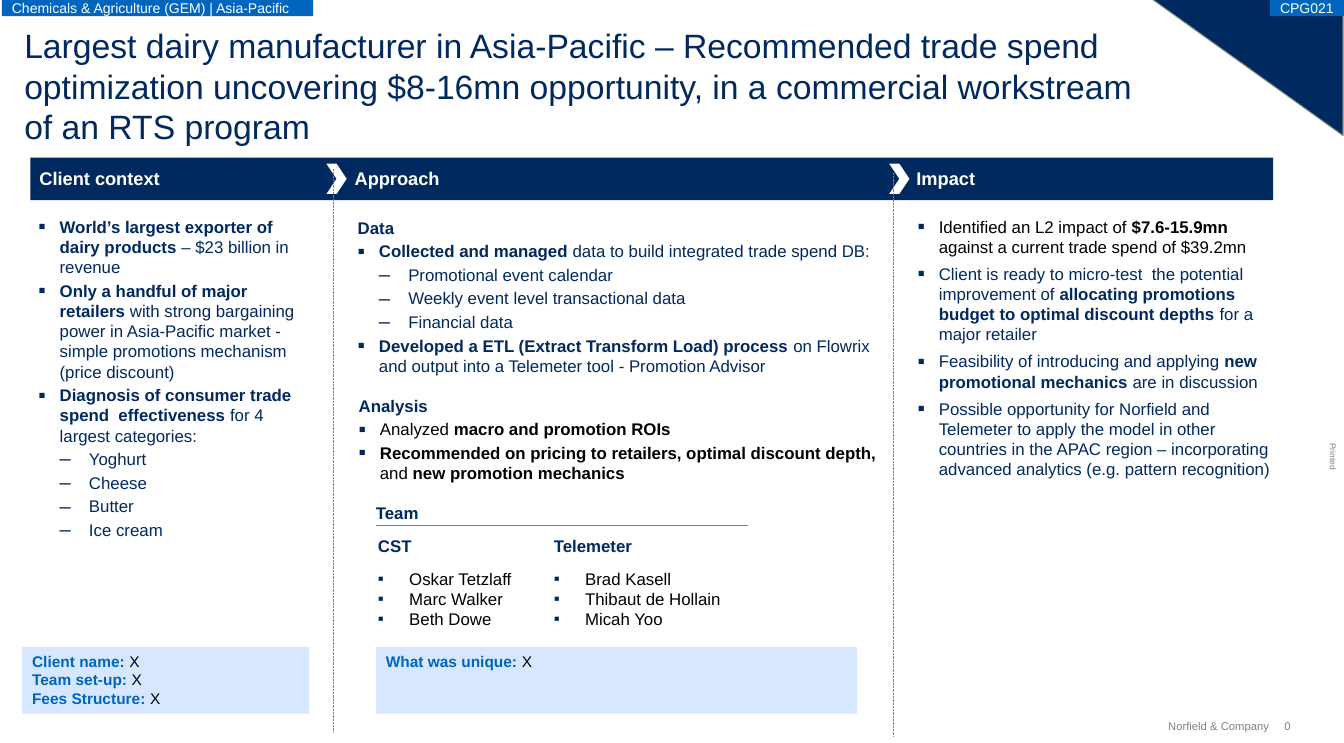
from lxml import etree
from pptx import Presentation
from pptx.dml.color import RGBColor
from pptx.enum import dml, shapes as shp, text as txt
from pptx.oxml.ns import qn
from pptx.util import Pt

# Content: *...* marks bold; each line is (level, text, colour)
TITLE = ("Largest dairy manufacturer in Asia-Pacific – Recommended trade spend "
         "optimization uncovering $8-16mn opportunity, in a commercial workstream "
         "of an RTS program")
CONTEXT = [
    ("item", "*World’s largest exporter of dairy products *– $23 billion in revenue", "navy"),
    ("item", "*Only a handful of major retailers *with strong bargaining power in "
             "Asia-Pacific market - simple promotions mechanism (price discount)", "navy"),
    ("item", "*Diagnosis of consumer trade spend  effectiveness *for 4 largest categories:", "navy"),
    ("sub", "Yoghurt", "navy"),
    ("sub", "Cheese", "navy"),
    ("sub", "Butter", "navy"),
    ("sub", "Ice cream", "navy"),
]
DATA = [
    ("plain", "*Data*", "navy"),
    ("item", "*Collected and managed *data to build integrated trade spend DB:", "navy"),
    ("sub", "Promotional event calendar", "navy"),
    ("sub", "Weekly event level transactional data", "navy"),
    ("sub", "Financial data", "navy"),
    ("item", "*Developed a ETL (Extract Transform Load) process *on Flowrix and "
             "output into a Telemeter tool - Promotion Advisor", "navy"),
]
ANALYSIS = [
    ("plain", "*Analysis*", "navy"),
    ("item", "Analyzed *macro and promotion ROIs*", "black"),
    ("item", "*Recommended on pricing to retailers, optimal discount depth, *and"
             "* new promotion mechanics*", "black"),
]
IMPACT = [
    ("item", "Identified an L2 impact of *$7.6-15.9mn* against a current trade "
             "spend of $39.2mn", "black"),
    ("item", "Client is ready to micro-test  the potential improvement of *allocating "
             "promotions budget to optimal discount depths *for a major retailer", "navy"),
    ("item", "Feasibility of introducing and applying *new promotional mechanics *are "
             "in discussion", "navy"),
    ("item", "Possible opportunity for Norfield and Telemeter to apply the model in "
             "other countries in the APAC region – incorporating advanced analytics "
             "(e.g. pattern recognition)", "navy"),
]
# Text blocks: left, top, width, height, gap between paragraphs, lines
BLOCKS = [
    (27.4, 154.1, 195, 235.4, 2.4, CONTEXT),
    (254.9, 154.8, 370.8, 116.6, 2.4, DATA),
    (255.6, 281.5, 370.1, 64, 2.4, ANALYSIS),
    (653.8, 154.1, 251.3, 192.2, 4.8, IMPACT),
]
HEADS = [(28.1, "Client context"), (252.7, "Approach"), (653, "Impact")]
SPLITS = [(232.6, 237.6, 120.2), (633.6, 636.5, 123.1)]  # chevron, line, line top
TEAMS = [
    (269.3, "CST", ["Oskar Tetzlaff", "Marc Walker", "Beth Dowe"]),
    (394.6, "Telemeter", ["Brad Kasell", "Thibaut de Hollain", "Micah Yoo"]),
]
NOTES = [
    (15.8, 204.5, ["*Client name: *X", "*Team set-up: *X", "*Fees Structure: *X"]),
    (267.8, 342.7, ["*What was unique: *X"]),
]
TAGS = [(1.4, 221.8, "Chemicals & Agriculture (GEM) | Asia-Pacific"),
        (905, 52.6, "CPG021")]

# Style
HEX = {"navy": "002960", "blue": "0065BD", "pale": "D6E7FF", "cyan": "00ADEF",
       "gray": "808080", "black": "000000", "white": "FFFFFF"}
# Bullets: left margin, hang, size in percent, sign
MARKS = {"item": (15.1, 15.1, 125, "▪"), "sub": (36, 20.9, 120, "–"),
         "name": (22.3, 22.3, 100, "▪")}
TOP, MID, LOW = (txt.MSO_ANCHOR.TOP, txt.MSO_ANCHOR.MIDDLE, txt.MSO_ANCHOR.BOTTOM)
LEFT, RIGHT = txt.PP_ALIGN.LEFT, txt.PP_ALIGN.RIGHT

deck = Presentation()
deck.slide_width, deck.slide_height = Pt(957.6), Pt(529.2)
slide = deck.slides.add_slide(deck.slide_layouts[5])


def tint(name):
    return RGBColor.from_string(HEX[name])


def mark(para, level):
    margin, hang, size, sign = MARKS[level]
    props = para._p.get_or_add_pPr()
    props.set("marL", str(Pt(margin)))
    props.set("indent", str(-Pt(hang)))
    color = etree.SubElement(props, qn("a:buClr"))
    etree.SubElement(color, qn("a:srgbClr"), val=HEX["navy"])
    etree.SubElement(props, qn("a:buSzPct"), val=str(size * 1000))
    etree.SubElement(props, qn("a:buFont"), typeface="Arial")
    etree.SubElement(props, qn("a:buChar"), char=sign)


def write(shape, lines, size=12, color="navy", strong=None, gap=0, anchor=TOP,
          align=LEFT, inset=(0, 0, 0, 0)):
    """Fill a shape with lines; strong is the colour of bold parts."""
    frame = shape.text_frame
    frame.word_wrap = True
    frame.auto_size = txt.MSO_AUTO_SIZE.NONE
    frame.vertical_anchor = anchor
    (frame.margin_left, frame.margin_top, frame.margin_right,
     frame.margin_bottom) = map(Pt, inset)
    if isinstance(lines, str):
        lines = [lines]
    for i, line in enumerate(lines):
        level, words, ink = ("plain", line, color) if isinstance(line, str) else line
        para = frame.add_paragraph() if i else frame.paragraphs[0]
        para.alignment = align
        para.space_before = Pt(gap if i else 0)
        if level in MARKS:
            mark(para, level)
        for j, part in enumerate(words.split("*")):
            if part:
                run = para.add_run()
                run.text = part
                font = run.font
                font.name, font.size, font.bold = "Arial", Pt(size), j % 2 == 1
                font.color.rgb = tint(strong if strong and j % 2 else ink)


def box(x, y, w, h, lines, **form):
    shape = slide.shapes.add_textbox(Pt(x), Pt(y), Pt(w), Pt(h))
    write(shape, lines, **form)
    return shape


def block(kind, x, y, w, h, fill):
    shape = slide.shapes.add_shape(kind, Pt(x), Pt(y), Pt(w), Pt(h))
    shape.shadow.inherit = False
    shape.fill.solid()
    shape.fill.fore_color.rgb = tint(fill)
    shape.line.fill.background()
    return shape


def rule(x, y, right, low, color, width, dash=None):
    line = slide.shapes.add_connector(shp.MSO_CONNECTOR.STRAIGHT,
                                      Pt(x), Pt(y), Pt(right), Pt(low))
    line.line.color.rgb = tint(color)
    line.line.width = Pt(width)
    if dash:
        line.line.dash_style = dash
    etree.SubElement(line._element.spPr, qn("a:effectLst"))


RECT = shp.MSO_SHAPE.RECTANGLE

# Corner, side note and footer
corner = block(shp.MSO_SHAPE.RIGHT_TRIANGLE, 820.8, -0.7, 136.1, 97.2, "navy")
corner.rotation = 180
corner.line.color.rgb = tint("gray")
corner.line.width = Pt(0.75)
side = box(938, 324, 24, 7.2, "Printed", size=6, color="gray")
side.rotation = 90
box(780, 512.6, 124.3, 9.4, "Norfield & Company", size=8, color="gray",
    anchor=MID, align=RIGHT)
box(915.1, 512.6, 14, 9.4, "0", size=8, color="gray", anchor=MID)

# Title
title = slide.shapes.title
title.left, title.top, title.width, title.height = map(Pt, (17.3, 18, 797, 87.1))
write(title, TITLE, size=24)

# Tags along the top edge
for x, w, words in TAGS:
    write(block(RECT, x, 0, w, 11.5, "blue"), words, size=10, color="white",
          anchor=MID, inset=(7.2, 0, 0, 0))

# Header band and column splits
block(RECT, 21.6, 112.3, 885.6, 30.2, "navy")
for x, words in HEADS:
    box(x, 118.8, 200, 17.3, f"*{words}*", size=13, color="white", anchor=LOW,
        inset=(0, 0, 0, 1.4))
for x, mid, y in SPLITS:
    block(shp.MSO_SHAPE.CHEVRON, x, 116.6, 14.4, 21.6, "white")
    rule(mid, y, mid, y + 401.5, "gray", 0.5, dml.MSO_LINE.ROUND_DOT)

# Column text
for x, y, w, h, gap, lines in BLOCKS:
    box(x, y, w, h, lines, gap=gap)

# Team
box(267.8, 357.8, 165, 14.4, "*Team*", anchor=MID)
rule(267.8, 374.4, 532.8, 374.4, "cyan", 0.75)
for x, head, names in TEAMS:
    box(x, 381.6, 115.2, 14.4, f"*{head}*", anchor=MID)
    box(x, 404.6, 122, 43.9, [("name", name, "black") for name in names], anchor=MID)

# Note boxes
for x, w, lines in NOTES:
    write(block(RECT, x, 460.8, w, 47.5, "pale"), lines, size=11, color="black",
          strong="blue", inset=(7.2, 3.6, 7.2, 3.6))

deck.save("out.pptx")
